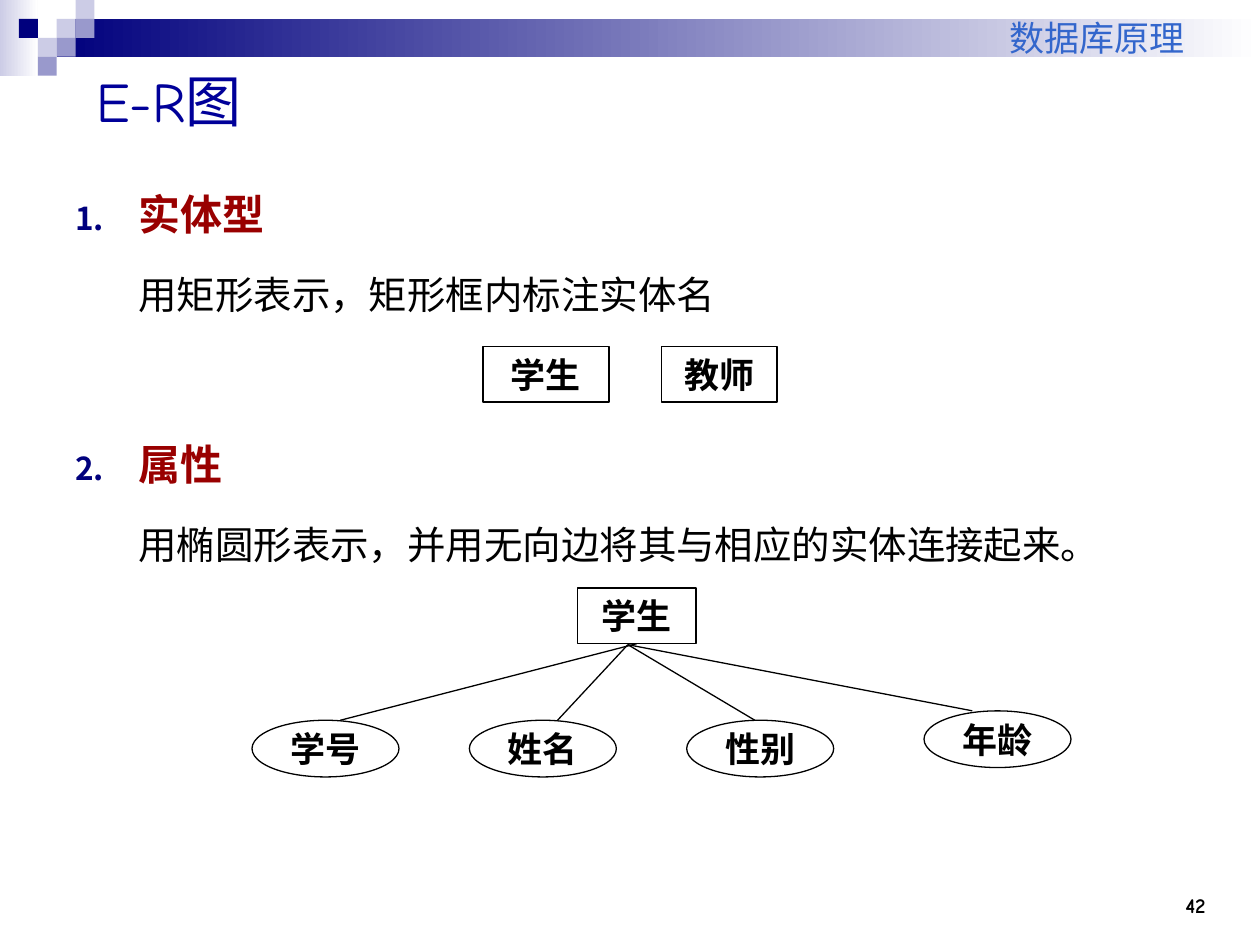
from lxml import etree
from pptx import Presentation
from pptx.dml.color import RGBColor
from pptx.enum.shapes import MSO_CONNECTOR, MSO_SHAPE
from pptx.enum.text import MSO_ANCHOR, PP_ALIGN
from pptx.oxml.ns import qn
from pptx.util import Inches, Pt

RECTANGLE, OVAL = MSO_SHAPE.RECTANGLE, MSO_SHAPE.OVAL
STRAIGHT = MSO_CONNECTOR.STRAIGHT
MIDDLE, BOTTOM, TOP = MSO_ANCHOR.MIDDLE, MSO_ANCHOR.BOTTOM, MSO_ANCHOR.TOP
LEFT, CENTER, RIGHT = PP_ALIGN.LEFT, PP_ALIGN.CENTER, PP_ALIGN.RIGHT

COLORS = {
    "navy": "00007D", "lilac": "CCCCE6", "violet": "9999CC", "white": "FFFFFF",
    "black": "000000", "title": "000099", "course": "3366CC", "heading": "990000",
}
BODY_FONT, LABEL_FONT = "Comic Neue", "Times New Roman"
WIDTH, HEIGHT = Inches(10), Inches(7.5)
COLUMNS, ROWS = 120, 90
LABEL_HEIGHT = 5.3


def color(name):
    return RGBColor.from_string(COLORS[name])


def place(column, row, columns, rows):
    return (round(column * WIDTH / COLUMNS), round(row * HEIGHT / ROWS),
            round(columns * WIDTH / COLUMNS), round(rows * HEIGHT / ROWS))


def add_run(paragraph, text, size, tone, bold=False, font=BODY_FONT):
    run = paragraph.add_run()
    run.text = text
    run.font.name, run.font.size, run.font.bold = font, Pt(size), bold
    run.font.color.rgb = color(tone)


def add_block(slide, box, tone, fade_to=None, kind=RECTANGLE):
    block = slide.shapes.add_shape(kind, *place(*box))
    block.shadow.inherit = False
    block.line.fill.background()
    if fade_to:
        block.fill.gradient()
        block.fill.gradient_angle = 0
        for stop, name in zip(block.fill.gradient_stops, (tone, fade_to)):
            stop.color.rgb = color(name)
    else:
        block.fill.solid()
        block.fill.fore_color.rgb = color(tone)
    return block


def add_header(slide, box):
    left, top, width, height = box
    tile = height / 4
    add_block(slide, (left, top, 2 * tile, height), "lilac", "white")
    add_block(slide, (left + 3 * tile, top + tile, width - 3 * tile, 2 * tile), "navy", "white")
    tiles = [(3, 1, "lilac"), (4, 0, "lilac"), (4, 1, "violet"), (2, 2, "lilac"),
             (1, 1, "navy"), (3, 2, "violet"), (2, 3, "violet")]
    for column, row, tone in tiles:
        add_block(slide, (left + column * tile, top + row * tile, tile, tile), tone)


def add_corner_text(slide, box, text, size, tone, bold=False, right_inset=0.1):
    frame = slide.shapes.add_textbox(*place(*box)).text_frame
    frame.word_wrap = True
    frame.vertical_anchor = BOTTOM
    frame.margin_right = Inches(right_inset)
    frame.paragraphs[0].alignment = RIGHT
    add_run(frame.paragraphs[0], text, size, tone, bold)


def fill_title(slide, box, text):
    title = slide.shapes.title
    title.left, title.top, title.width, title.height = place(*box)
    title.text_frame.vertical_anchor = MIDDLE
    title.text_frame.paragraphs[0].alignment = LEFT
    add_run(title.text_frame.paragraphs[0], text, 32, "title")


def number_paragraph(paragraph):
    properties = paragraph._p.get_or_add_pPr()
    properties.set("marL", str(Inches(0.5)))
    properties.set("indent", str(-Inches(0.5)))
    bullet_color = etree.SubElement(properties, qn("a:buClr"))
    etree.SubElement(bullet_color, qn("a:srgbClr"), val=COLORS["navy"])
    etree.SubElement(properties, qn("a:buSzPct"), val="75000")
    etree.SubElement(properties, qn("a:buAutoNum"), type="arabicPeriod")


def add_definitions(slide, box, definitions):
    frame = slide.shapes.add_textbox(*place(*box)).text_frame
    frame.word_wrap = True
    frame.vertical_anchor = TOP
    for index, (term, meaning) in enumerate(definitions):
        paragraph = frame.add_paragraph() if index else frame.paragraphs[0]
        number_paragraph(paragraph)
        paragraph.line_spacing = 1.7
        if index:
            paragraph.space_before = Pt(49)
        add_run(paragraph, term, 24, "heading", True)
        paragraph.add_line_break()
        add_run(paragraph, meaning, 22, "black")


def add_label(slide, box, text, kind=RECTANGLE):
    label = add_block(slide, box, "white", kind=kind)
    label.line.color.rgb = color("black")
    label.line.width = Pt(0.75)
    frame = label.text_frame
    frame.word_wrap = kind == RECTANGLE
    frame.vertical_anchor = MIDDLE
    frame.paragraphs[0].alignment = CENTER
    add_run(frame.paragraphs[0], text, 20, "black", True, LABEL_FONT)
    return label


def add_entities(slide, box):
    left, top, width, height = box
    add_label(slide, (left, top, 12, height), "学生")
    add_label(slide, (left + width - 11, top, 11, height), "教师")


def add_edge(slide, start, end):
    edge = slide.shapes.add_connector(
        STRAIGHT, *place(*start, 0, 0)[:2], *place(*end, 0, 0)[:2])
    edge.line.color.rgb = color("black")
    edge.line.width = Pt(0.75)
    etree.SubElement(edge._element.spPr, qn("a:effectLst"))
    return edge


def add_attribute_tree(slide, box):
    left, top, width, height = box
    entity = add_label(slide, (left + 31, top, 11.3, LABEL_HEIGHT), "学生")
    oval_width, oval_height = 14, 5.4
    oval_top = top + height - oval_height
    step = 20.7
    attributes = [
        ("学号", 0, oval_top, 8.4),
        ("姓名", step, oval_top, 8.4),
        ("性别", 2 * step, oval_top, 6.5),
        ("年龄", width - oval_width, oval_top - 0.9, 4.6),
    ]
    for name, offset, oval_row, _ in attributes:
        add_label(slide, (left + offset, oval_row, oval_width, oval_height), name, OVAL)
    hub = (left + 35.8, top + 5.4)
    edges = [add_edge(slide, hub, (left + offset + contact, oval_row))
             for _, offset, oval_row, contact in attributes]
    edges[0].begin_connect(entity, 2)


def main():
    deck = Presentation()
    deck.slide_width, deck.slide_height = WIDTH, HEIGHT
    slide = deck.slides.add_slide(deck.slide_layouts[5])
    add_header(slide, (0, 0, COLUMNS, 7.2))
    add_corner_text(slide, (106, 82, 10, 6), "42", 12, "black", True)
    add_corner_text(slide, (46, 0, 71, 6.2), "数据库原理", 20, "course", right_inset=0.35)
    fill_title(slide, (8, 5, 108, 9), "E-R图")
    add_definitions(slide, (6, 14, 111, 70), [
        ("实体型", "用矩形表示，矩形框内标注实体名"),
        ("属性", "用椭圆形表示，并用无向边将其与相应的实体连接起来。"),
    ])
    add_entities(slide, (46, 33, 28, LABEL_HEIGHT))
    add_attribute_tree(slide, (24, 56, 78, 18))
    deck.save("out.pptx")


if __name__ == "__main__":
    main()
